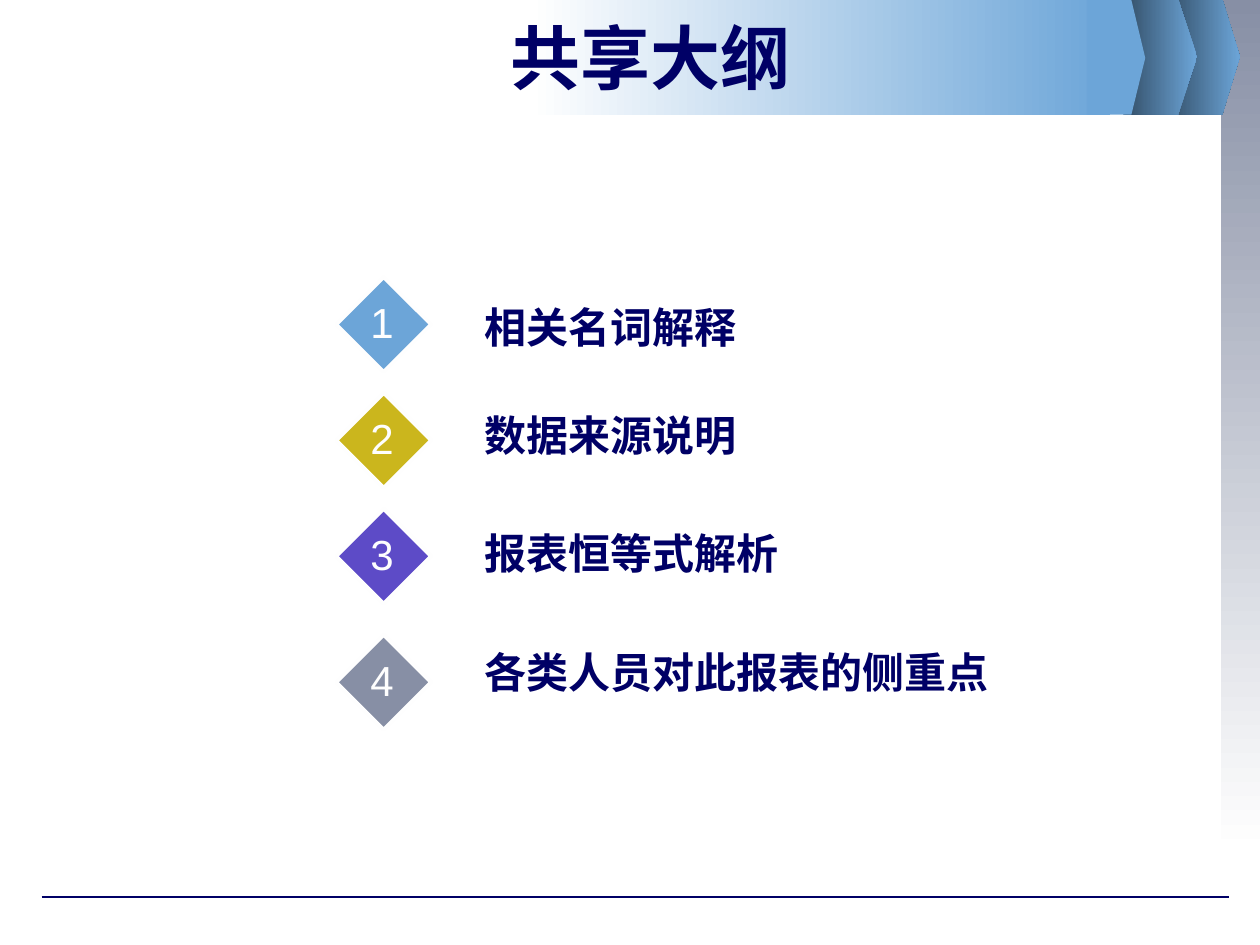
"""Build the outline slide: banner, title and four numbered topics."""
from pptx import Presentation
from pptx.dml.color import RGBColor
from pptx.enum.shapes import MSO_CONNECTOR, MSO_SHAPE
from pptx.enum.text import MSO_ANCHOR, MSO_AUTO_SIZE, PP_ALIGN
from pptx.oxml import parse_xml
from pptx.oxml.ns import nsdecls
from pptx.util import Inches, Pt

NAVY, SKY, STEEL, GREY, WHITE, PALE = "000066", "6CA5D8", "324C64", "878FA5", "FFFFFF", "FEFEFE"
COLUMNS, ROWS = 100, 75

deck = Presentation()
deck.slide_width, deck.slide_height = Inches(10), Inches(7.5)
column, row = deck.slide_width / COLUMNS, deck.slide_height / ROWS
page = deck.slides.add_slide(deck.slide_layouts[5])
shapes = page.shapes


def paint(shape, *colours, angle=0):
    """Fill with one colour, or with a gradient of two."""
    shape.shadow.inherit = False
    shape.line.fill.background()
    if len(colours) == 1:
        shape.fill.solid()
        shape.fill.fore_color.rgb = RGBColor.from_string(colours[0])
        return
    shape.fill.gradient()
    shape.fill.gradient_angle = angle
    for stop, colour, position in zip(shape.fill.gradient_stops, colours, (0, 1)):
        stop.color.rgb = RGBColor.from_string(colour)
        stop.position = position


def write(box, text, colour, align, font, **frame):
    """Put one formatted line of text in a box."""
    for name, value in frame.items():
        setattr(box.text_frame, name, value)
    para = box.text_frame.paragraphs[0]
    para.alignment = align
    span = para.add_run()
    span.text = text
    span.font.color.rgb = RGBColor.from_string(colour)
    for name, value in font.items():
        setattr(span.font, name, value)


side_band = shapes.add_shape(MSO_SHAPE.RECTANGLE, int(96.9 * column), 0, int(3.1 * column), int(67.7 * row))
paint(side_band, GREY, WHITE, angle=270)

footer = shapes.add_connector(MSO_CONNECTOR.STRAIGHT, int(3.3 * column), int(71.2 * row),
                              int(97.5 * column), int(71.2 * row))
footer.line.color.rgb = RGBColor.from_string(NAVY)
footer.line.width = Pt(0.75)
footer._element.spPr.append(parse_xml(f"<a:effectLst {nsdecls('a')}/>"))

banner = shapes.add_shape(MSO_SHAPE.RECTANGLE, int(42.1 * column), 0, int(46 * column), int(9.1 * row))
paint(banner, WHITE, SKY)

for left, shoulder, tip, top, colours in (
    (92.5, 97, 98.4, -0.1, (STEEL, SKY)),
    (89.1, 93.5, 95, -0.1, (STEEL, SKY)),
    (86.3, 89.8, 90.9, 0, (SKY,)),
):
    middle, bottom = top + 4.6, 9.1
    corners = [(shoulder, top), (tip, middle), (shoulder, bottom), (left, bottom)]
    outline = shapes.build_freeform(int(left * column), int(top * row))
    outline.add_line_segments([(x * column, y * row) for x, y in corners], close=True)
    paint(outline.convert_to_shape(), *colours)

title = shapes.title
title.left, title.top = int(12.5 * column), int(1.2 * row)
title.width, title.height = int(78.3 * column), int(6.5 * row)
shapes._spTree.append(title._element)
write(title, "共享大纲", NAVY, PP_ALIGN.CENTER,
      {"size": Pt(40), "name": "Times New Roman", "bold": True},
      vertical_anchor=MSO_ANCHOR.MIDDLE, auto_size=MSO_AUTO_SIZE.NONE, word_wrap=True,
      margin_left=0, margin_right=0, margin_top=0, margin_bottom=0)

topics = (
    ("相关名词解释", SKY, 22, 23.4, 41.4),
    ("数据来源说明", "CBB61D", 31.2, 32, 28.1),
    ("报表恒等式解析", "5D4BC7", 40.4, 41.4, 32.8),
    ("各类人员对此报表的侧重点", GREY, 50.4, 50.8, 48.4),
)
for number, (topic, colour, top, text_top, text_width) in enumerate(topics, 1):
    diamond = shapes.add_shape(MSO_SHAPE.DIAMOND, int(26.7 * column), int(top * row),
                               int(7.5 * column), int(7.5 * row))
    paint(diamond, colour)
    diamond.line.color.rgb = RGBColor.from_string(PALE)
    diamond.line.width = Pt(2)
    digit = shapes.add_textbox(int(28.4 * column), int((top + 1.05) * row), int(3.8 * column), int(5 * row))
    write(digit, str(number), PALE, PP_ALIGN.CENTER, {"size": Pt(24), "name": "Arial"},
          word_wrap=False, auto_size=MSO_AUTO_SIZE.SHAPE_TO_FIT_TEXT)
    label = shapes.add_textbox(int(37.5 * column), int(text_top * row), int(text_width * column), int(5 * row))
    write(label, topic, NAVY, PP_ALIGN.LEFT, {"size": Pt(24), "name": "Arial", "bold": True},
          word_wrap=True, auto_size=MSO_AUTO_SIZE.SHAPE_TO_FIT_TEXT)

deck.save("out.pptx")
